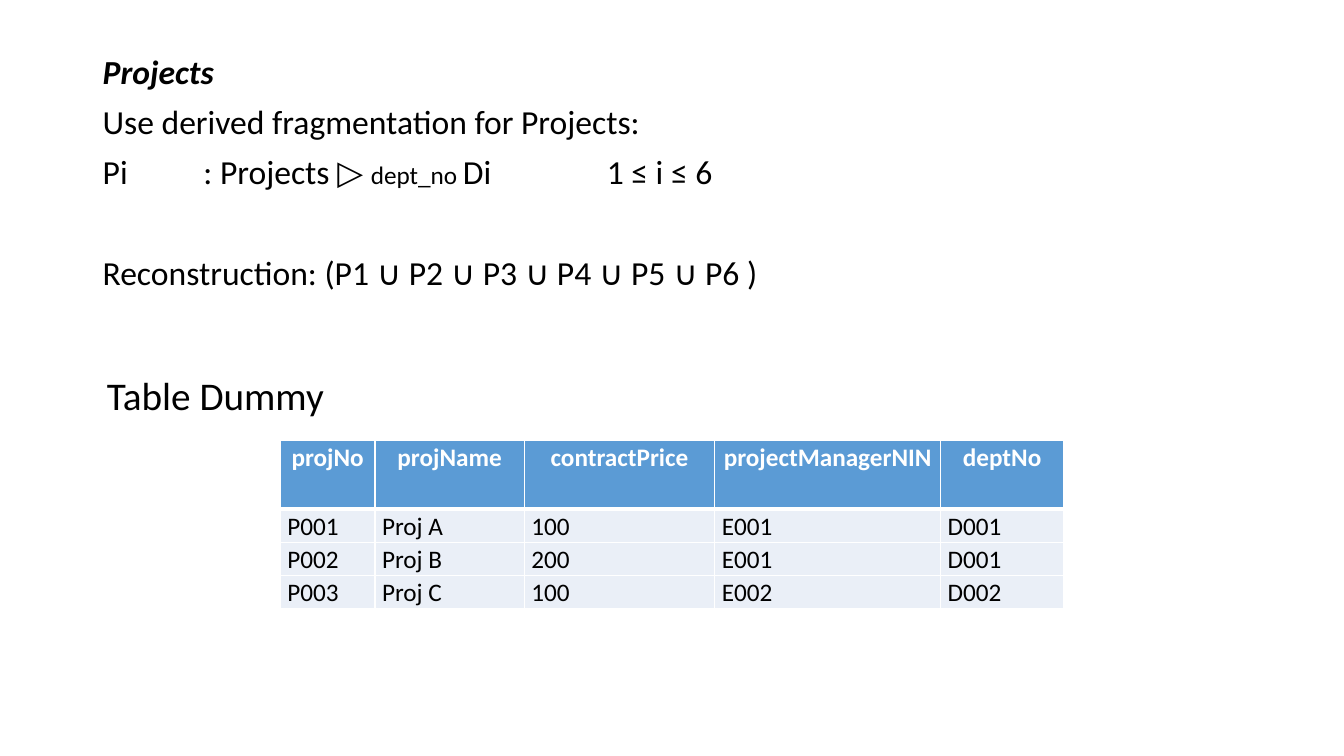
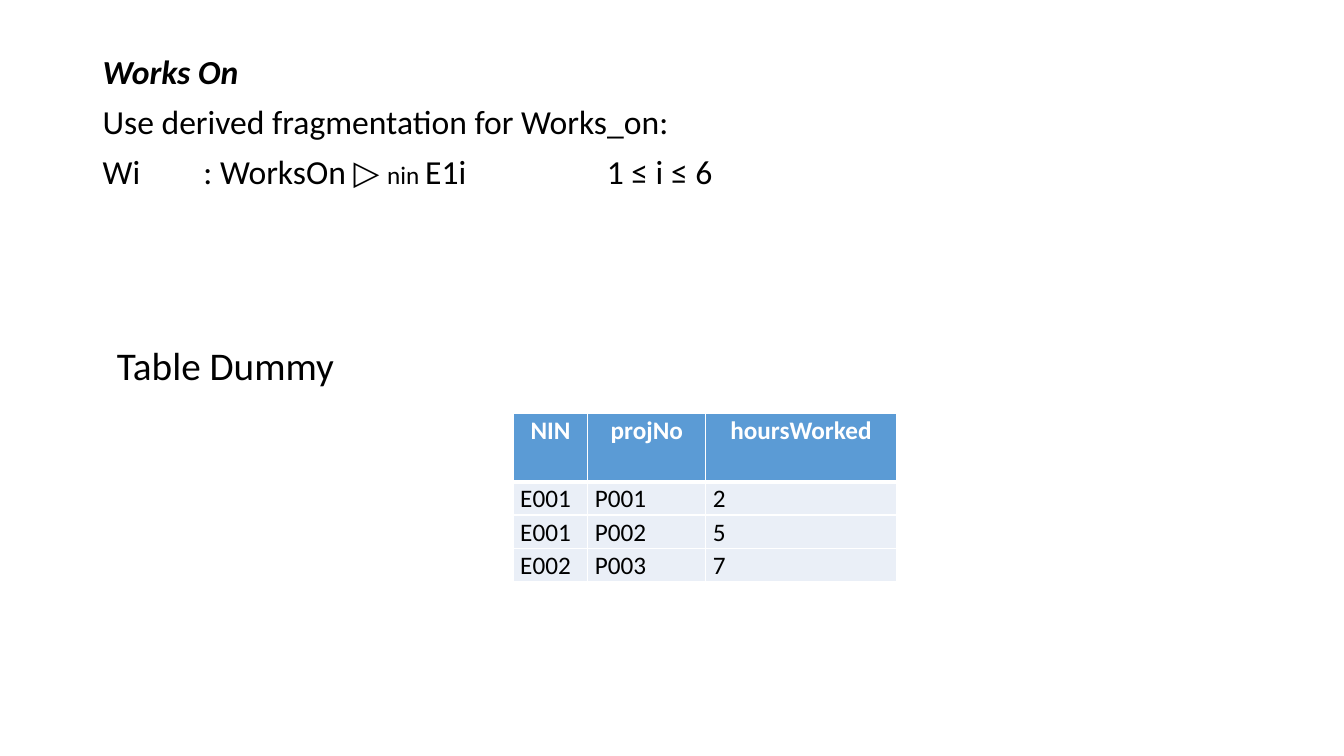
import pptx
import pptx.dml.color
import pptx.enum.text
import pptx.oxml
import pptx.oxml.ns
import pptx.util
from pptx.util import Inches, Pt

FONT = "Calibri"
BLACK, WHITE = "000000", "FFFFFF"
HEADER_BLUE, ROW_BLUE = "5B9BD5", "EAEFF7"
BODY_BOX = (0.92, 0.5, 11.5, 6.26)
FORMULA_TABS = (1, 5)
HEADER_HEIGHT, ROW_HEIGHT = 0.68, 0.33

PROJECTS = {
    "lines": [
        {"runs": [("Projects", {"bold": True, "italic": True})]},
        {"runs": [("Use derived fragmentation for Projects:", {})]},
        {"runs": [("Pi\t: Projects ▷ ", {}), ("dept_no ", {"size": Pt(18)}),
                  ("Di\t1 ≤ i ≤ 6", {})], "tabs": FORMULA_TABS},
        {"runs": [("Reconstruction: (P1 ∪ P2 ∪ P3 ∪ P4 ∪ P5 ∪ P6 )", {})],
         "before": 46},
    ],
    "caption_at": (0.46, 3.63),
    "table_at": (2.78, 4.37),
    "columns": {"projNo": 0.94, "projName": 1.48, "contractPrice": 1.89,
                "projectManagerNIN": 2.24, "deptNo": 1.22},
    "rows": [("P001", "Proj A", "100", "E001", "D001"),
             ("P002", "Proj B", "200", "E001", "D001"),
             ("P003", "Proj C", "100", "E002", "D002")],
}
WORKS_ON = {
    "lines": [
        {"runs": [("Works On", {"bold": True, "italic": True})]},
        {"runs": [("Use derived fragmentation for Works_on:", {})]},
        {"runs": [("Wi\t: WorksOn ▷ ", {}), ("nin ", {"size": Pt(18)}),
                  ("E1i\t1 ≤ i ≤ 6", {})], "tabs": FORMULA_TABS},
    ],
    "caption_at": (0.56, 3.34),
    "table_at": (5.09, 4.1),
    "columns": {"NIN": 0.74, "projNo": 1.17, "hoursWorked": 1.89},
    "rows": [("E001", "P001", "2"), ("E001", "P002", "5"),
             ("E002", "P003", "7")],
}


def rgb(hex_color):
    return pptx.dml.color.RGBColor.from_string(hex_color)


def set_all(target, values):
    for name, value in values.items():
        setattr(target, name, value)


def add_run(paragraph, text, size, color=BLACK, **font_values):
    run = paragraph.add_run()
    run.text = text
    set_all(run.font, {"name": FONT, "size": Pt(size), **font_values})
    run.font.color.rgb = rgb(color)


def add_tab_stops(paragraph, stops):
    tab_list = pptx.oxml.parse_xml(f"<a:tabLst {pptx.oxml.ns.nsdecls('a')}/>")
    for stop in stops:
        tab_list.append(pptx.oxml.parse_xml(
            f'<a:tab {pptx.oxml.ns.nsdecls("a")} pos="{Inches(stop)}" algn="l"/>'))
    paragraph._p.get_or_add_pPr().append(tab_list)


def add_body(slide, box, lines):
    frame = slide.shapes.add_textbox(*map(Inches, box)).text_frame
    frame.word_wrap = True
    for index, line in enumerate(lines):
        paragraph = frame.add_paragraph() if index else frame.paragraphs[0]
        add_tab_stops(paragraph, line.get("tabs", ()))
        paragraph.line_spacing = 0.9
        if index:
            paragraph.space_before = Pt(line.get("before", 10))
        for text, font_values in line["runs"]:
            add_run(paragraph, text, 24)
            set_all(paragraph.runs[-1].font, font_values)


def add_caption(slide, left, top):
    frame = slide.shapes.add_textbox(
        Inches(left), Inches(top), Inches(2.88), Inches(0.57)).text_frame
    set_all(frame, {"word_wrap": True, "margin_left": Inches(0.6),
                    "margin_right": 0})
    add_run(frame.paragraphs[0], "Table Dummy", 28)


def add_borders(cell, top, bottom):
    """Draw white lines on all four sides; widths in points."""
    for side, width in {"L": 1, "R": 1, "T": top, "B": bottom}.items():
        cell._tc.get_or_add_tcPr().append(pptx.oxml.parse_xml(
            f'<a:ln{side} {pptx.oxml.ns.nsdecls("a")} w="{Pt(width)}">'
            f'<a:solidFill><a:srgbClr val="{WHITE}"/></a:solidFill></a:ln{side}>'))


def fill_cell(cell, text, row_index):
    is_header = row_index == 0
    add_borders(cell, top=3 if row_index == 1 else 1, bottom=3 if is_header else 1)
    cell.fill.solid()
    cell.fill.fore_color.rgb = rgb(HEADER_BLUE if is_header else ROW_BLUE)
    set_all(cell, {"margin_left": Inches(0.07), "margin_right": Inches(0.07),
                   "margin_top": 0, "margin_bottom": 0})
    paragraph = cell.text_frame.paragraphs[0]
    paragraph.line_spacing = 1.07
    if is_header:
        paragraph.alignment = pptx.enum.text.PP_ALIGN.CENTER
    add_run(paragraph, text, 18, WHITE if is_header else BLACK, bold=is_header)


def add_data_table(slide, left, top, columns, rows):
    heights = [HEADER_HEIGHT] + [ROW_HEIGHT] * len(rows)
    table = slide.shapes.add_table(
        len(heights), len(columns), Inches(left), Inches(top),
        Inches(sum(columns.values())), Inches(sum(heights))).table
    table.horz_banding = False
    for column, width in zip(table.columns, columns.values()):
        column.width = Inches(width)
    for row_index, values in enumerate([tuple(columns), *rows]):
        table.rows[row_index].height = Inches(heights[row_index])
        for cell, text in zip(table.rows[row_index].cells, values):
            fill_cell(cell, text, row_index)


def add_fragmentation_slide(presentation, content):
    slide = presentation.slides.add_slide(presentation.slide_layouts[6])
    add_body(slide, BODY_BOX, content["lines"])
    add_data_table(slide, *content["table_at"], content["columns"], content["rows"])
    add_caption(slide, *content["caption_at"])


def main():
    presentation = pptx.Presentation()
    set_all(presentation, {"slide_width": Inches(13.33), "slide_height": Inches(7.5)})
    for content in (PROJECTS, WORKS_ON):
        add_fragmentation_slide(presentation, content)
    presentation.save("out.pptx")


if __name__ == "__main__":
    main()
